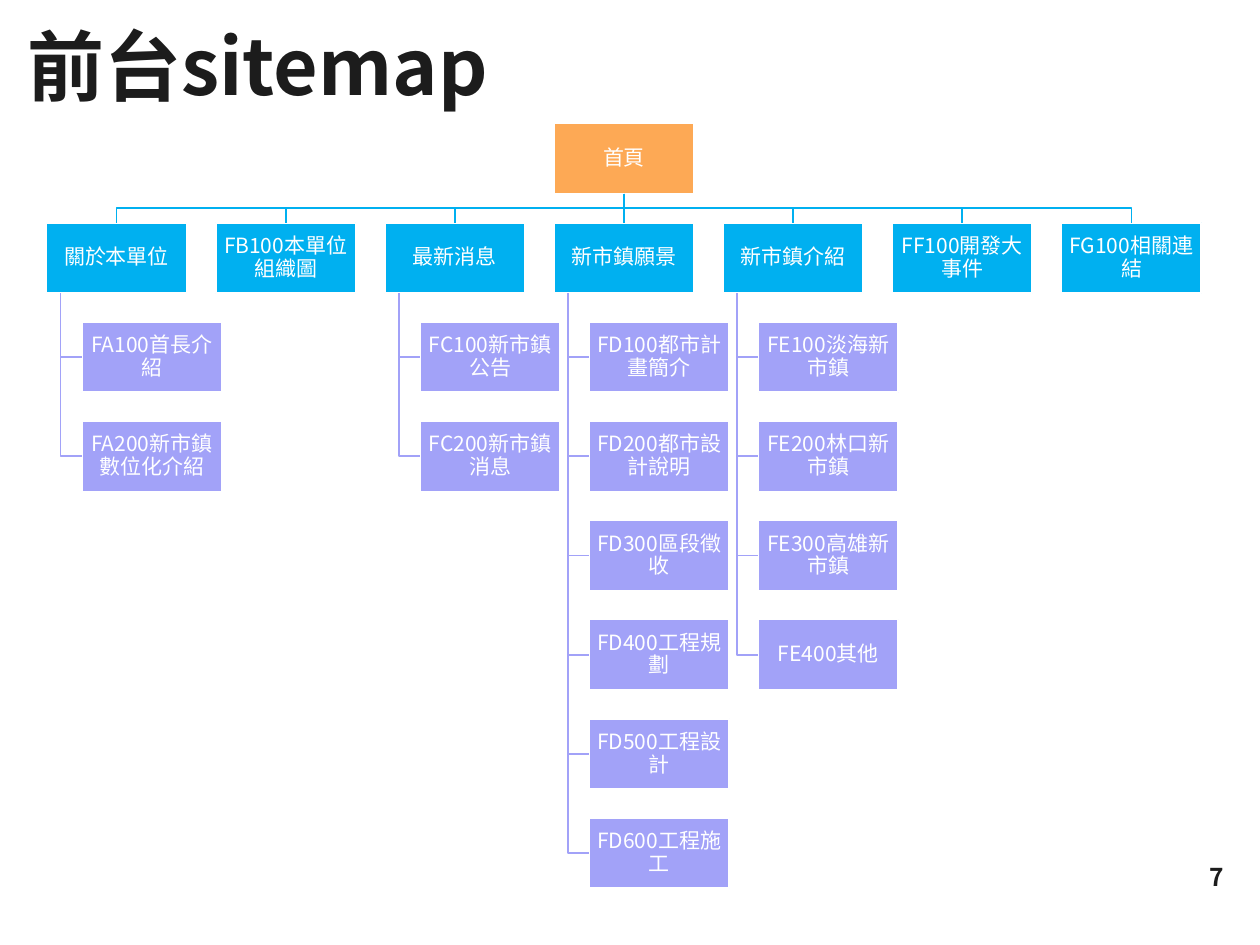
from dataclasses import dataclass

from lxml.etree import SubElement
from pptx import Presentation
from pptx.dml.color import RGBColor
from pptx.enum.shapes import MSO_CONNECTOR, MSO_SHAPE
from pptx.enum.text import MSO_ANCHOR, PP_ALIGN
from pptx.oxml.ns import qn
from pptx.shapes.autoshape import Shape
from pptx.shapes.shapetree import SlideShapes
from pptx.text.text import TextFrame
from pptx.util import Cm, Pt

FONT = "Noto Sans CJK SC"
INK = RGBColor(0x1C, 0x1C, 0x1C)
WHITE = RGBColor(0xFF, 0xFF, 0xFF)
ORANGE = RGBColor(0xFD, 0xA9, 0x55)
BLUE = RGBColor(0x00, 0xB0, 0xF0)
VIOLET = RGBColor(0xA2, 0xA2, 0xF8)

BOX_WIDTH, BOX_HEIGHT = 2.82, 1.42
CHART_LEFT, CHART_TOP = 0.94, 2.49
COLUMN_STEP, ROW_STEP = 3.41, 2.0
PAGE_INDENT, TRUNK_INDENT = 0.71, 0.28
HOME_COLUMN = 3


@dataclass(frozen=True)
class Section:
    title: str
    pages: tuple[str, ...] = ()


SECTIONS = (
    Section("關於本單位", ("FA100首長介紹", "FA200新市鎮數位化介紹")),
    Section("FB100本單位組織圖"),
    Section("最新消息", ("FC100新市鎮公告", "FC200新市鎮消息")),
    Section("新市鎮願景", (
        "FD100都市計畫簡介", "FD200都市設計說明", "FD300區段徵收",
        "FD400工程規劃", "FD500工程設計", "FD600工程施工",
    )),
    Section("新市鎮介紹", (
        "FE100淡海新市鎮", "FE200林口新市鎮", "FE300高雄新市鎮", "FE400其他",
    )),
    Section("FF100開發大事件"),
    Section("FG100相關連結"),
)


def write_text(frame: TextFrame, text: str, size: int, color: RGBColor,
               alignment: PP_ALIGN, bold: bool = False) -> None:
    frame.word_wrap = True
    frame.vertical_anchor = MSO_ANCHOR.MIDDLE
    paragraph = frame.paragraphs[0]
    paragraph.text = text
    paragraph.alignment = alignment
    paragraph.line_spacing = 0.9
    paragraph.font.name = FONT
    paragraph.font.size = Pt(size)
    paragraph.font.bold = bold
    paragraph.font.color.rgb = color
    properties = paragraph._p.get_or_add_pPr().find(qn("a:defRPr"))
    SubElement(properties, qn("a:ea")).set("typeface", FONT)


def add_label(shapes: SlideShapes, left: float, top: float, width: float,
              height: float, text: str, size: int, alignment: PP_ALIGN) -> None:
    label = shapes.add_textbox(Cm(left), Cm(top), Cm(width), Cm(height))
    write_text(label.text_frame, text, size, INK, alignment, bold=True)


def add_box(shapes: SlideShapes, column: int, row: int, text: str,
            color: RGBColor, indent: float = 0) -> Shape:
    box = shapes.add_shape(
        MSO_SHAPE.RECTANGLE,
        Cm(CHART_LEFT + column * COLUMN_STEP + indent),
        Cm(CHART_TOP + row * ROW_STEP),
        Cm(BOX_WIDTH), Cm(BOX_HEIGHT),
    )
    box.shadow.inherit = False
    box.fill.solid()
    box.fill.fore_color.rgb = color
    box.line.color.rgb = WHITE
    box.line.width = Pt(1)
    frame = box.text_frame
    frame.margin_left = frame.margin_right = Cm(0.02)
    frame.margin_top = frame.margin_bottom = Cm(0.02)
    write_text(frame, text, 12, WHITE, PP_ALIGN.CENTER)
    return box


def add_elbow(shapes: SlideShapes, points: list[tuple[int, int]],
              color: RGBColor) -> None:
    builder = shapes.build_freeform(*points[0])
    builder.add_line_segments(points[1:], close=False)
    elbow = builder.convert_to_shape()
    elbow.shadow.inherit = False
    elbow.fill.background()
    elbow.line.color.rgb = color
    elbow.line.width = Pt(1)


def join_home(shapes: SlideShapes, home: Shape, section: Shape) -> None:
    if home.left == section.left:
        connector = shapes.add_connector(MSO_CONNECTOR.STRAIGHT, 0, 0, 0, 0)
        connector.begin_connect(home, 2)
        connector.end_connect(section, 0)
        connector.line.color.rgb = BLUE
        connector.line.width = Pt(1)
        SubElement(connector._element.spPr, qn("a:effectLst"))
        return
    start_x = home.left + home.width // 2
    end_x = section.left + section.width // 2
    bottom = home.top + home.height
    middle = (bottom + section.top) // 2
    add_elbow(shapes, [(start_x, bottom), (start_x, middle),
                       (end_x, middle), (end_x, section.top)], BLUE)


def join_page(shapes: SlideShapes, section: Shape, page: Shape) -> None:
    trunk = section.left + Cm(TRUNK_INDENT)
    middle = page.top + page.height // 2
    add_elbow(shapes, [(trunk, section.top + section.height),
                       (trunk, middle), (page.left, middle)], VIOLET)


def main() -> None:
    presentation = Presentation()
    presentation.slide_width, presentation.slide_height = Cm(25.4), Cm(19.05)
    slide = presentation.slides.add_slide(presentation.slide_layouts[6])
    shapes = slide.shapes

    add_label(shapes, 0.3, 0.38, 21.9, 2.1, "前台sitemap", 44, PP_ALIGN.LEFT)
    add_label(shapes, 19.2, 17.2, 5.72, 1.02, "7", 14, PP_ALIGN.RIGHT)

    home = add_box(shapes, HOME_COLUMN, 0, "首頁", ORANGE)
    for column, section in enumerate(SECTIONS):
        section_box = add_box(shapes, column, 1, section.title, BLUE)
        join_home(shapes, home, section_box)
        for row, page in enumerate(section.pages, start=2):
            page_box = add_box(shapes, column, row, page, VIOLET, PAGE_INDENT)
            join_page(shapes, section_box, page_box)

    presentation.save("out.pptx")


if __name__ == "__main__":
    main()
